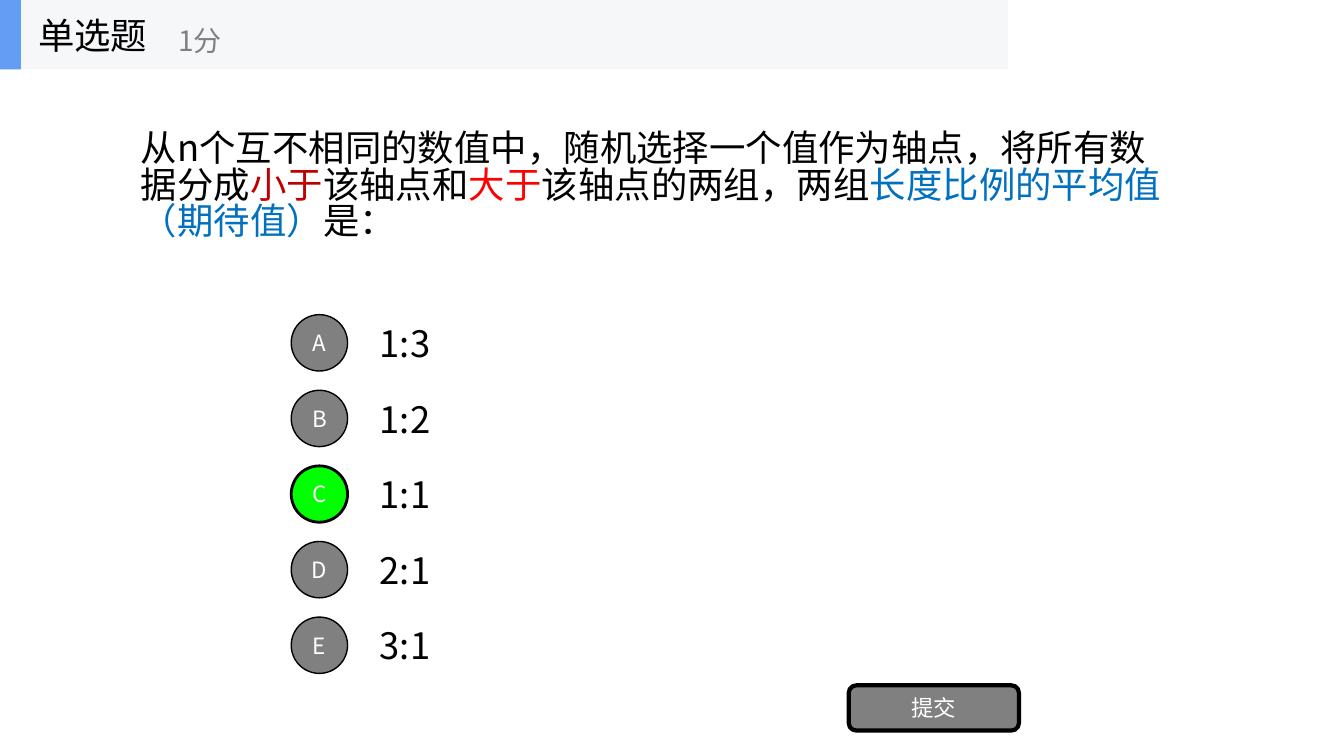
from lxml.etree import SubElement
from pptx import Presentation
from pptx.dml.color import RGBColor
from pptx.enum.shapes import MSO_SHAPE as Shape
from pptx.enum.text import MSO_ANCHOR as Anchor, PP_ALIGN as Align
from pptx.oxml.ns import qn
from pptx.util import Cm, Pt

FONT = "Noto Sans CJK SC"
COLORS = {
    "black": "000000", "white": "FFFFFF", "gray": "808080", "green": "00FF00",
    "dark red": "C00000", "red": "FF0000", "blue": "0070C0",
    "header": "F6F7F8", "accent": "639EF4",
}


def write(shape, *parts, size=26, color="black", align=Align.LEFT, wrap=True, spacing=None):
    """Fill the shape with one paragraph; a part is text or a (text, color) pair."""
    frame = shape.text_frame
    frame.word_wrap = wrap
    frame.vertical_anchor = Anchor.MIDDLE
    para = frame.paragraphs[0]
    para.alignment = align
    para.line_spacing = spacing
    for part in parts:
        text, part_color = (part, color) if isinstance(part, str) else part
        span = para.add_run()
        span.text = text
        span.font.size = Pt(size)
        span.font.color.rgb = RGBColor.from_string(COLORS[part_color])
        span.font.name = FONT
        SubElement(span.font._element, qn("a:ea"), typeface=FONT)


def add_filled(shapes, kind, left, top, width, height, fill, line=0):
    """Add a shape with a plain fill and, if line is given, a black outline."""
    shape = shapes.add_shape(kind, Cm(left), Cm(top), Cm(width), Cm(height))
    shape.shadow.inherit = False
    shape.fill.solid()
    shape.fill.fore_color.rgb = RGBColor.from_string(COLORS[fill])
    if line:
        shape.line.color.rgb = RGBColor.from_string(COLORS["black"])
        shape.line.width = Pt(line)
    else:
        shape.line.fill.background()
    return shape


deck = Presentation()
deck.slide_width, deck.slide_height = Cm(33.87), Cm(19.05)
page = deck.slides.add_slide(deck.slide_layouts[6])

# Question
question = page.shapes.add_textbox(Cm(3.3), Cm(1.75), Cm(26.57), Cm(5.94))
write(question, "从n个互不相同的数值中，随机选择一个值作为轴点，将所有数据分成",
      ("小于", "dark red"), "该轴点和", ("大于", "red"), "该轴点的两组，两组",
      ("长度比例的平均值（期待值）", "blue"), "是：", spacing=0.83)

# Options, with the right answer in green
answer = "C"
for row, (letter, ratio) in enumerate(zip("ABCDE", ["1:3", "1:2", "1:1", "2:1", "3:1"])):
    top = 7.75 + 1.905 * row
    option = page.shapes.add_textbox(Cm(9.32), Cm(top), Cm(17.78), Cm(1.78))
    write(option, ratio)
    fill, line = ("green", 2) if letter == answer else ("gray", 1)
    circle = add_filled(page.shapes, Shape.OVAL, 7.34, top + 0.18, 1.42, 1.42, fill, line)
    frame = circle.text_frame
    frame.margin_left = frame.margin_right = frame.margin_top = frame.margin_bottom = 0
    write(circle, letter, size=16, color="white", align=Align.CENTER)

submit = add_filled(page.shapes, Shape.ROUNDED_RECTANGLE, 21.39, 17.27, 4.29, 1.14, "gray", 3)
write(submit, "提交", size=16, color="white", align=Align.CENTER)

# Header
header = page.shapes.add_group_shape().shapes
add_filled(header, Shape.RECTANGLE, 0, 0, 25.4, 1.75, "header")
add_filled(header, Shape.RECTANGLE, 0, 0, 0.53, 1.75, "accent")
kind = header.add_textbox(Cm(0.71), Cm(0), Cm(5.28), Cm(1.75))
write(kind, "单选题", wrap=False)
points = header.add_textbox(Cm(4.24), Cm(0.3), Cm(6.35), Cm(1.42))
write(points, "1分", size=20, color="gray", wrap=False)

deck.save("out.pptx")
